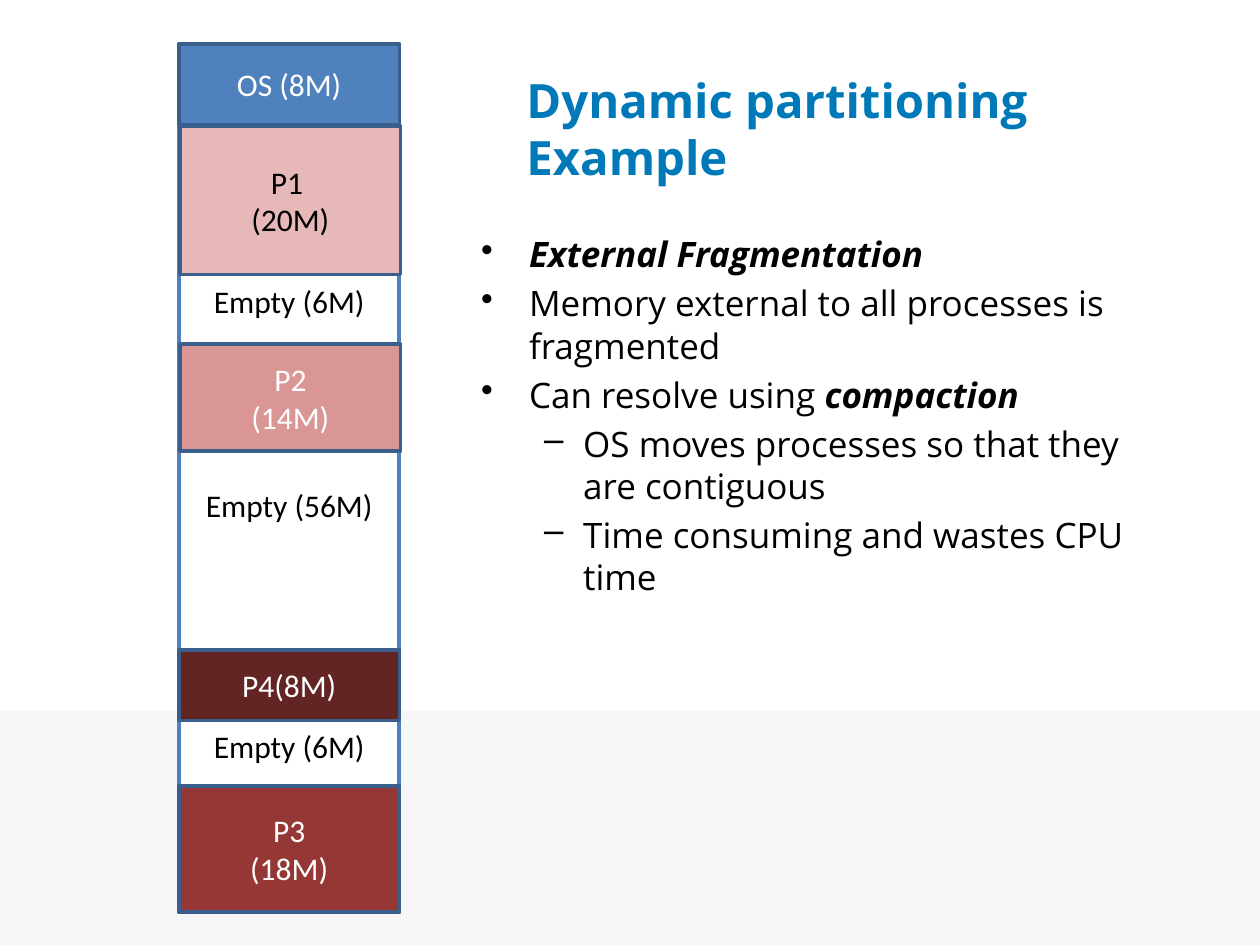
from lxml import etree
from pptx import Presentation
from pptx import util as u
from pptx.dml.color import RGBColor
from pptx.enum import shapes, text
from pptx.oxml.ns import qn

WHITE = RGBColor(0xFF, 0xFF, 0xFF)
BLACK = RGBColor(0x00, 0x00, 0x00)
PALE_GREY = RGBColor(0xF7, 0xF7, 0xF7)
TITLE_BLUE = RGBColor(0x00, 0x79, 0xB8)
OS_BLUE = RGBColor(0x4F, 0x81, 0xBD)
EDGE_BLUE = RGBColor(0x3A, 0x5F, 0x8C)
PINK = RGBColor(0xE6, 0xB9, 0xB8)
ROSE = RGBColor(0xD9, 0x96, 0x94)
RED = RGBColor(0x95, 0x37, 0x35)
MAROON = RGBColor(0x63, 0x25, 0x23)

LABEL = {"name": "Calibri", "size": u.Pt(18)}
TITLE = {"name": "Open Sans", "size": u.Pt(27), "bold": True}
BODY = {"name": "Open Sans", "size": u.Pt(20)}
STRONG = {**BODY, "bold": True, "italic": True}

# Bullet, left margin and hanging indent of each list level
LEVELS = [("•", 0.38, -0.38), ("–", 0.81, -0.31)]

MEMORY_LEFT, MEMORY_WIDTH = 1.42, 1.75

# Left, top, height, fill, text colour, lines
PARTITIONS = [
    (1.42, 0.35, 0.64, OS_BLUE, WHITE, ["OS (8M)"]),
    (1.43, 1.00, 1.18, PINK, BLACK, ["P1 ", "(20M)"]),
    (1.43, 2.73, 0.85, ROSE, WHITE, ["P2", "(14M)"]),
    (1.42, 5.16, 0.56, MAROON, WHITE, ["P4(8M)"]),
    (1.42, 6.24, 1.00, RED, WHITE, ["P3", "(18M)"]),
]

# Top, height, label
HOLES = [(2.19, 0.54, "Empty (6M)"), (3.81, 0.4, "Empty (56M)"), (5.72, 0.54, "Empty (6M)")]

# Level and spans of each point
POINTS = [
    (0, [("External Fragmentation", STRONG)]),
    (0, [("Memory external to all processes is fragmented", BODY)]),
    (0, [("Can resolve using ", BODY), ("compaction", STRONG)]),
    (1, [("OS moves processes so that they are contiguous", BODY)]),
    (1, [("Time consuming and wastes CPU time", BODY)]),
]


class Painter:
    """Holds the page being drawn and the way its elements look."""

    def __init__(self, page):
        self.page = page

    def place(self, *lengths):
        return [u.Inches(length) for length in lengths]

    def add_span(self, para, words, style, color):
        span = para.add_run()
        span.text = words
        for name, value in style.items():
            setattr(span.font, name, value)
        span.font.color.rgb = color

    def add_paras(self, frame, count):
        return [frame.paragraphs[0]] + [frame.add_paragraph() for _ in range(count - 1)]

    def write_centred(self, frame, lines, color):
        frame.word_wrap = True
        for para, line in zip(self.add_paras(frame, len(lines)), lines):
            para.alignment = text.PP_ALIGN.CENTER
            self.add_span(para, line, LABEL, color)

    def rectangle(self, at, fill, edge=None, weight=2):
        box = self.page.shapes.add_shape(shapes.MSO_SHAPE.RECTANGLE, *self.place(*at))
        box.shadow.inherit = False
        box.fill.solid()
        box.fill.fore_color.rgb = fill
        if edge is None:
            box.line.fill.background()
        else:
            box.line.color.rgb = edge
            box.line.width = u.Pt(weight)
        return box

    def partition(self, left, top, height, fill, color, lines):
        box = self.rectangle((left, top, MEMORY_WIDTH, height), fill, EDGE_BLUE)
        box.text_frame.vertical_anchor = text.MSO_ANCHOR.MIDDLE
        self.write_centred(box.text_frame, lines, color)

    def text_frame(self, *at):
        frame = self.page.shapes.add_textbox(*self.place(*at)).text_frame
        frame.word_wrap = True
        return frame

    def hole(self, top, height, label):
        frame = self.text_frame(MEMORY_LEFT, top, MEMORY_WIDTH, height)
        self.write_centred(frame, [label], BLACK)

    def title(self, words, *at):
        frame = self.text_frame(*at)
        frame.vertical_anchor = text.MSO_ANCHOR.MIDDLE
        self.add_span(frame.paragraphs[0], words, TITLE, TITLE_BLUE)

    def bullets(self, points, *at):
        frame = self.text_frame(*at)
        paras = self.add_paras(frame, len(points))
        for index, (para, (level, spans)) in enumerate(zip(paras, points)):
            mark, margin, indent = LEVELS[level]
            para.level = level
            para.space_before = u.Pt(4 if index else 0)
            props = para._p.get_or_add_pPr()
            props.set("marL", str(u.Inches(margin)))
            props.set("indent", str(u.Inches(indent)))
            etree.SubElement(props, qn("a:buChar")).set("char", mark)
            for words, style in spans:
                self.add_span(para, words, style, BLACK)


def main():
    deck = Presentation()
    deck.slide_width, deck.slide_height = u.Inches(10), u.Inches(7.5)
    painter = Painter(deck.slides.add_slide(deck.slide_layouts[6]))

    painter.rectangle((0, 5.64, 10, 1.86), PALE_GREY)
    painter.title("Dynamic partitioning Example", 4.08, 0.58, 5.5, 0.87)
    painter.bullets(POINTS, 3.72, 1.8, 5.58, 4.94)

    painter.rectangle((MEMORY_LEFT, 0.35, MEMORY_WIDTH, 6.89), WHITE, OS_BLUE, 2.25)
    for partition in PARTITIONS:
        painter.partition(*partition)
    for hole in HOLES:
        painter.hole(*hole)

    deck.save("out.pptx")


if __name__ == "__main__":
    main()
